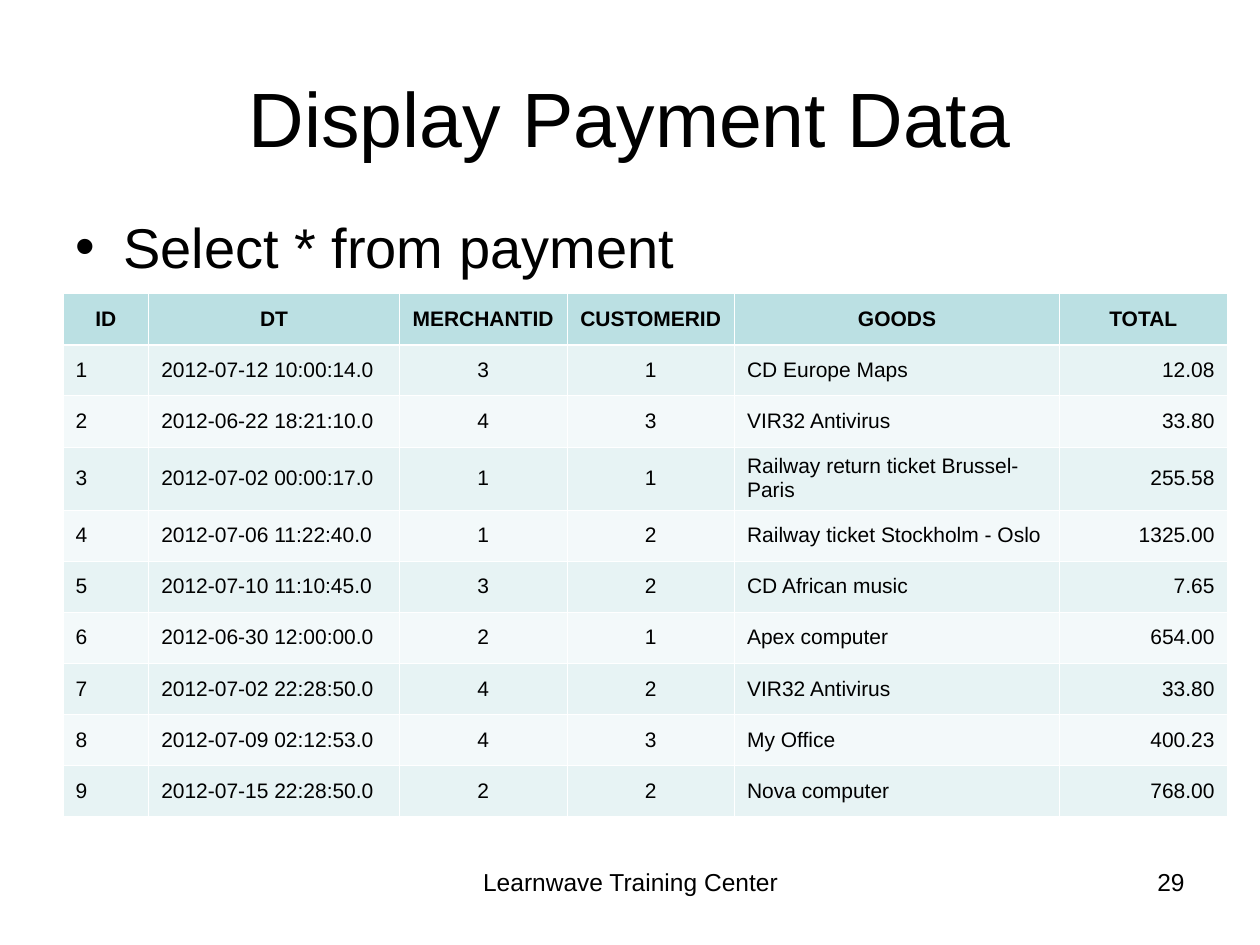
"""Build the slide that lists the rows of the payment table."""
from pptx import Presentation
from pptx import util as u
from pptx.dml.color import RGBColor
from pptx.enum import text
from pptx.oxml import parse_xml
from pptx.oxml.ns import nsdecls

LEFT, CENTER, RIGHT = text.PP_ALIGN.LEFT, text.PP_ALIGN.CENTER, text.PP_ALIGN.RIGHT
BLACK, WHITE = "000000", "FFFFFF"
HEADER_FILL, BAND_FILLS = "BBE0E3", ("E7F3F4", "F3F9FA")

TITLE = ("Display Payment Data", (0.5, 0.3, 9, 1.25), 44, CENTER)
QUERY = ("Select * from payment", (0.5, 1.58, 9, 5.12), 32, LEFT)
FOOTERS = [
    ("Learnwave Training Center", (3.42, 6.83, 3.17, 0.52), 14, CENTER),
    ("29", (7.17, 6.83, 2.33, 0.52), 14, RIGHT),
]
COLUMNS = [
    ("ID", 0.68, LEFT),
    ("DT", 1.99, LEFT),
    ("MERCHANTID", 1.33, CENTER),
    ("CUSTOMERID", 1.33, CENTER),
    ("GOODS", 2.58, LEFT),
    ("TOTAL", 1.33, RIGHT),
]
PAYMENTS = [
    ("1", "2012-07-12 10:00:14.0", "3", "1", "CD Europe Maps", "12.08"),
    ("2", "2012-06-22 18:21:10.0", "4", "3", "VIR32 Antivirus", "33.80"),
    ("3", "2012-07-02 00:00:17.0", "1", "1", "Railway return ticket Brussel-Paris", "255.58"),
    ("4", "2012-07-06 11:22:40.0", "1", "2", "Railway ticket Stockholm - Oslo", "1325.00"),
    ("5", "2012-07-10 11:10:45.0", "3", "2", "CD African music", "7.65"),
    ("6", "2012-06-30 12:00:00.0", "2", "1", "Apex computer", "654.00"),
    ("7", "2012-07-02 22:28:50.0", "4", "2", "VIR32 Antivirus", "33.80"),
    ("8", "2012-07-09 02:12:53.0", "4", "3", "My Office", "400.23"),
    ("9", "2012-07-15 22:28:50.0", "2", "2", "Nova computer", "768.00"),
]
TABLE_BOX = (0.5, 2.33, 9.25, 4.15)
TALL_ROW, TALL_HEIGHT = 3, 0.5
THIN, THICK = 0.45, 1.47


def color(value):
    return RGBColor.from_string(value)


def write(frame, words, size, align, bold=False):
    frame.text = words
    paragraph = frame.paragraphs[0]
    paragraph.alignment = align
    font = paragraph.runs[0].font
    font.name, font.size, font.bold = "Arial", u.Pt(size), bold
    font.color.rgb = color(BLACK)
    return paragraph


def add_text(slide, words, box, size, align):
    shape = slide.shapes.add_textbox(*map(u.Inches, box))
    shape.text_frame.word_wrap = True
    write(shape.text_frame, words, size, align)
    return shape


def add_title(slide, words, box, size, align):
    title = slide.shapes.title
    title.left, title.top, title.width, title.height = map(u.Inches, box)
    title.text_frame.vertical_anchor = text.MSO_ANCHOR.MIDDLE
    write(title.text_frame, words, size, align)


def add_query(slide):
    frame = add_text(slide, *QUERY).text_frame
    frame.margin_top = u.Inches(0.11)
    properties = frame.paragraphs[0]._p.get_or_add_pPr()
    properties.set("marL", str(u.Inches(0.38)))
    properties.set("indent", str(-u.Inches(0.38)))
    properties.append(parse_xml(f'<a:buFont {nsdecls("a")} typeface="Arial"/>'))
    properties.append(parse_xml(f'<a:buChar {nsdecls("a")} char="•"/>'))


def set_borders(cell, top, bottom):
    for side, width in (("L", THIN), ("R", THIN), ("T", top), ("B", bottom)):
        cell._tc.get_or_add_tcPr().append(parse_xml(
            f'<a:ln{side} {nsdecls("a")} w="{u.Pt(width)}"><a:solidFill>'
            f'<a:srgbClr val="{WHITE}"/></a:solidFill></a:ln{side}>'))


def add_payments(slide):
    names, widths, aligns = zip(*COLUMNS)
    rows = [names, *PAYMENTS]
    table = slide.shapes.add_table(len(rows), len(names), *map(u.Inches, TABLE_BOX)).table
    for column, width in zip(table.columns, widths):
        column.width = u.Inches(width)
    row_height = (TABLE_BOX[3] - TALL_HEIGHT) / (len(rows) - 1)
    for r, values in enumerate(rows):
        header = r == 0
        table.rows[r].height = u.Inches(TALL_HEIGHT if r == TALL_ROW else row_height)
        for c, value in enumerate(values):
            cell = table.cell(r, c)
            set_borders(cell, THICK if r == 1 else THIN, THICK if header else THIN)
            cell.fill.solid()
            cell.fill.fore_color.rgb = color(HEADER_FILL if header else BAND_FILLS[(r - 1) % 2])
            cell.vertical_anchor = text.MSO_ANCHOR.MIDDLE
            write(cell.text_frame, value, 12, CENTER if header else aligns[c], header)


def main():
    presentation = Presentation()
    presentation.slide_width, presentation.slide_height = u.Inches(10), u.Inches(7.5)
    slide = presentation.slides.add_slide(presentation.slide_layouts[5])
    add_title(slide, *TITLE)
    add_query(slide)
    for footer in FOOTERS:
        add_text(slide, *footer)
    add_payments(slide)
    presentation.save("out.pptx")


if __name__ == "__main__":
    main()
